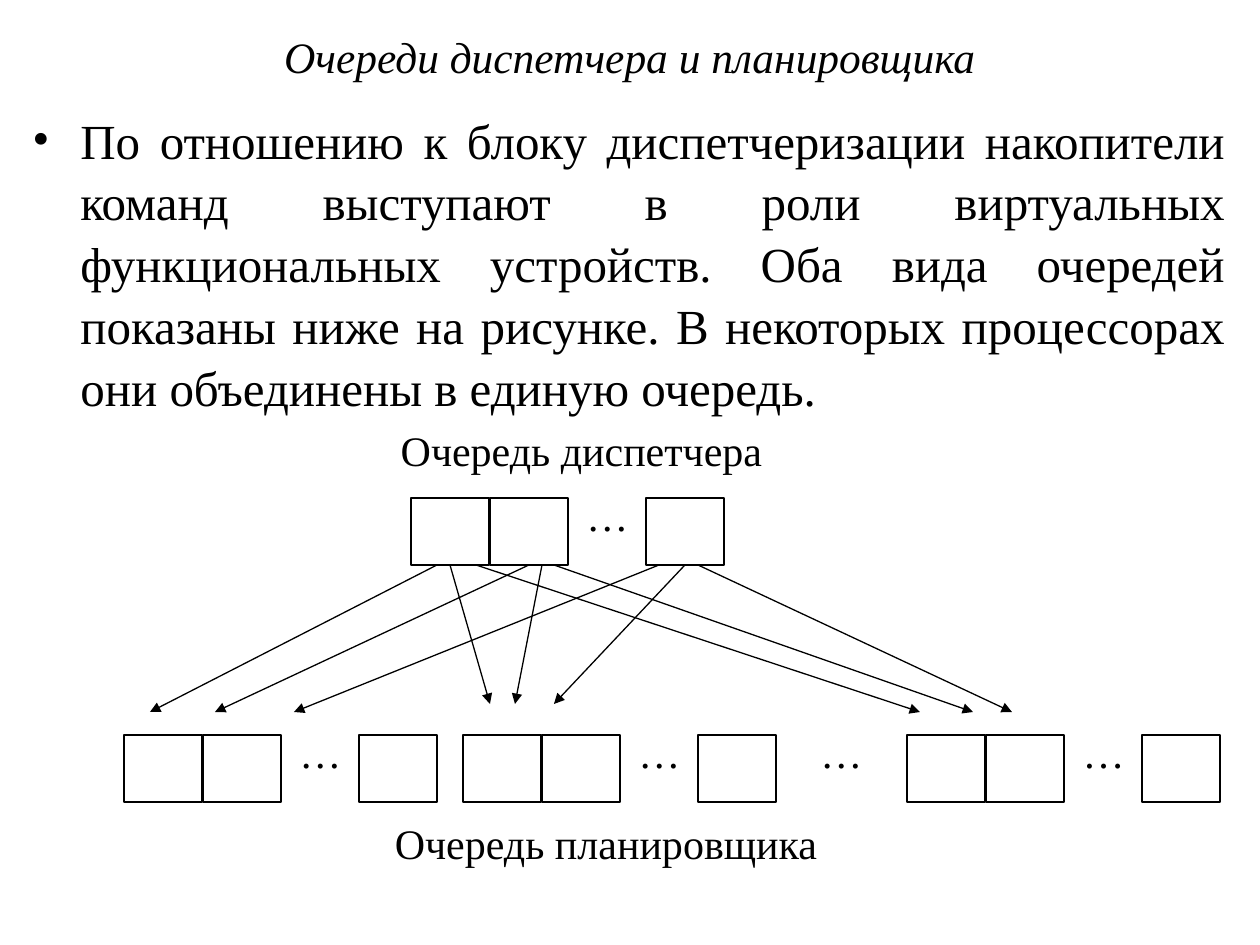
from dataclasses import dataclass

from lxml.etree import SubElement
from pptx import Presentation
from pptx.dml.color import RGBColor
from pptx.enum.shapes import MSO_CONNECTOR, MSO_SHAPE
from pptx.enum.text import MSO_ANCHOR, MSO_AUTO_SIZE, PP_ALIGN
from pptx.oxml.ns import qn
from pptx.util import Inches, Pt

TITLE = "Очереди диспетчера и планировщика"
BODY = (
    "По отношению к блоку диспетчеризации накопители команд выступают в роли "
    "виртуальных функциональных устройств. Оба вида очередей показаны ниже на "
    "рисунке. В некоторых процессорах они объединены в единую очередь."
)
LABELS = [
    ("Очередь диспетчера", (242, 418, 679, 96)),
    ("Очередь планировщика", (254, 811, 704, 96)),
]
ELLIPSIS = "…"

CELL_WIDTH, CELL_HEIGHT = 78, 67
CELL_OFFSETS = (0, 79, 235)
DISPATCHER_LEFT, DISPATCHER_TOP = 411, 498
SCHEDULER_LEFTS, SCHEDULER_TOP = (124, 463, 907), 735
GAP_LEFT = 776
ELLIPSIS_OFFSET, ELLIPSIS_RISE = 131, 15
ELLIPSIS_SIZE = (131, 96)

ARROW_START = DISPATCHER_TOP + CELL_HEIGHT
ARROW_ENDS = (712, 704, 712)
ARROWS = [
    ((437, 150), (450, 490), (476, 920)),
    ((529, 215), (542, 515), (554, 973)),
    ((659, 294), (685, 554), (698, 1012)),
]


@dataclass(frozen=True)
class Theme:
    font: str = "Times New Roman"
    ink: RGBColor = RGBColor(0, 0, 0)
    paper: RGBColor = RGBColor(255, 255, 255)
    title_size: float = 24.8
    body_size: float = 28
    label_size: float = 24
    cell_line: float = 1
    arrow_line: float = 0.75


THEME = Theme()


def px(value):
    return round(value * Inches(1) / 126)


def write(shape, text, size, align=PP_ALIGN.CENTER, anchor=MSO_ANCHOR.TOP, italic=False):
    frame = shape.text_frame
    frame.text = text
    frame.word_wrap = True
    frame.auto_size = MSO_AUTO_SIZE.NONE
    frame.vertical_anchor = anchor
    paragraph = frame.paragraphs[0]
    paragraph.alignment = align
    font = paragraph.runs[0].font
    font.name, font.size, font.italic = THEME.font, Pt(size), italic
    font.color.rgb = THEME.ink
    return paragraph


def add_text(slide, box, text, size, align=PP_ALIGN.CENTER):
    return write(slide.shapes.add_textbox(*map(px, box)), text, size, align)


def add_title(slide):
    title = slide.shapes.title
    title.left, title.top, title.width, title.height = map(px, (0, 21, 1260, 70))
    write(title, TITLE, THEME.title_size, anchor=MSO_ANCHOR.MIDDLE, italic=True)


def add_body(slide):
    paragraph = add_text(slide, (20, 101, 1217, 322), BODY, THEME.body_size, PP_ALIGN.JUSTIFY)
    paragraph.line_spacing = 1.05
    properties = paragraph._p.get_or_add_pPr()
    properties.set("marL", str(px(48)))
    properties.set("indent", str(px(-48)))
    SubElement(properties, qn("a:buFont"), typeface=THEME.font)
    SubElement(properties, qn("a:buChar"), char="•")


def add_ellipsis(slide, left, row_top):
    add_text(slide, (left, row_top - ELLIPSIS_RISE, *ELLIPSIS_SIZE), ELLIPSIS, THEME.label_size)


def add_queue(slide, left, top):
    for offset in CELL_OFFSETS:
        box = map(px, (left + offset, top, CELL_WIDTH, CELL_HEIGHT))
        cell = slide.shapes.add_shape(MSO_SHAPE.RECTANGLE, *box)
        cell.shadow.inherit = False
        cell.fill.solid()
        cell.fill.fore_color.rgb = THEME.paper
        cell.line.color.rgb = THEME.ink
        cell.line.width = Pt(THEME.cell_line)
    add_ellipsis(slide, left + ELLIPSIS_OFFSET, top)


def add_arrow(slide, start_x, end_x, end_y):
    points = map(px, (start_x, ARROW_START, end_x, end_y))
    arrow = slide.shapes.add_connector(MSO_CONNECTOR.STRAIGHT, *points)
    arrow.line.color.rgb = THEME.ink
    arrow.line.width = Pt(THEME.arrow_line)
    SubElement(arrow.line._get_or_add_ln(), qn("a:tailEnd"), type="triangle")
    SubElement(arrow._element.spPr, qn("a:effectLst"))


def main():
    presentation = Presentation()
    presentation.slide_width, presentation.slide_height = px(1260), px(945)
    slide = presentation.slides.add_slide(presentation.slide_layouts[5])
    add_title(slide)
    add_body(slide)
    add_queue(slide, DISPATCHER_LEFT, DISPATCHER_TOP)
    for left in SCHEDULER_LEFTS:
        add_queue(slide, left, SCHEDULER_TOP)
    add_ellipsis(slide, GAP_LEFT, SCHEDULER_TOP)
    for fan in ARROWS:
        for (start_x, end_x), end_y in zip(fan, ARROW_ENDS):
            add_arrow(slide, start_x, end_x, end_y)
    for text, box in LABELS:
        add_text(slide, box, text, THEME.label_size)
    presentation.save("out.pptx")


if __name__ == "__main__":
    main()
